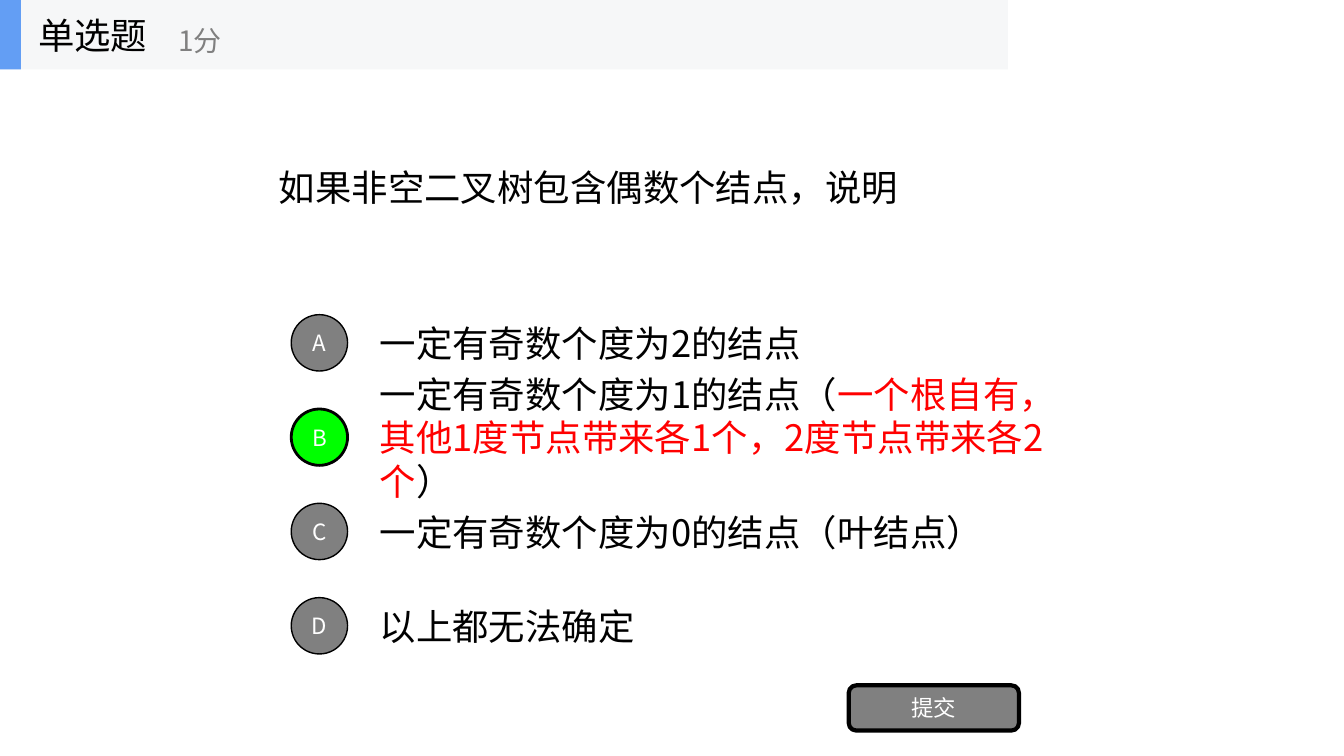
from lxml import etree
from pptx import Presentation
from pptx.dml.color import RGBColor
from pptx.enum import shapes, text
from pptx.oxml import ns
from pptx.util import Cm, Pt

FONT = "Noto Sans CJK SC"
BLACK = RGBColor(0x00, 0x00, 0x00)
WHITE = RGBColor(0xFF, 0xFF, 0xFF)
GRAY = RGBColor(0x80, 0x80, 0x80)
RED = RGBColor(0xFF, 0x00, 0x00)
GREEN = RGBColor(0x00, 0xFF, 0x00)
BLUE = RGBColor(0x63, 0x9E, 0xF4)
PALE = RGBColor(0xF6, 0xF7, 0xF8)

QUESTION = "如果非空二叉树包含偶数个结点，说明"
# Each option is a list of (wording, colour) pieces
OPTIONS = {
    "A": [("一定有奇数个度为2的结点", BLACK)],
    "B": [("一定有奇数个度为1的结点（", BLACK),
          ("一个根自有，其他1度节点带来各1个，2度节点带来各2个", RED),
          ("）", BLACK)],
    "C": [("一定有奇数个度为0的结点（叶结点）", BLACK)],
    "D": [("以上都无法确定", BLACK)],
}
ANSWER = "B"


def write(shape, pieces, size, align=text.PP_ALIGN.LEFT, wrap=True):
    frame = shape.text_frame
    frame.word_wrap = wrap
    frame.vertical_anchor = text.MSO_ANCHOR.MIDDLE
    paragraph = frame.paragraphs[0]
    paragraph.alignment = align
    for wording, color in pieces:
        run = paragraph.add_run()
        run.text = wording
        run.font.size = Pt(size)
        run.font.color.rgb = color
        run.font.name = FONT
        # East Asian typeface
        etree.SubElement(run.font._element, ns.qn("a:ea"), typeface=FONT)


def add_text(parent, left, top, width, height, pieces, size, wrap=True):
    box = parent.add_textbox(left, top, width, height)
    write(box, pieces, size, wrap=wrap)


def add_block(parent, kind, left, top, width, height, fill, line=0):
    shape = parent.add_shape(kind, left, top, width, height)
    shape.shadow.inherit = False
    shape.fill.solid()
    shape.fill.fore_color.rgb = fill
    if line:
        shape.line.color.rgb = BLACK
        shape.line.width = Pt(line)
    else:
        shape.line.fill.background()
    return shape


def add_header(slide, left, top, width, height):
    group = slide.shapes.add_group_shape().shapes
    rectangle = shapes.MSO_SHAPE.RECTANGLE
    add_block(group, rectangle, left, top, width, height, PALE)
    add_block(group, rectangle, left, top, Cm(0.53), height, BLUE)
    add_text(group, left + Cm(0.71), top, Cm(5.28), height,
             [("单选题", BLACK)], 26, wrap=False)
    add_text(group, left + Cm(4.24), top + Cm(0.31), Cm(6.35), Cm(1.42),
             [("1分", GRAY)], 20, wrap=False)


def add_options(slide, left, top, width, height):
    row_height, circle = Cm(1.78), Cm(1.42)
    step = (height - row_height) // (len(OPTIONS) - 1)
    indent = Cm(1.98)
    for index, (letter, pieces) in enumerate(OPTIONS.items()):
        row_top = top + index * step
        correct = letter == ANSWER
        add_text(slide.shapes, left + indent, row_top, width - indent, row_height, pieces, 26)
        badge = add_block(slide.shapes, shapes.MSO_SHAPE.OVAL,
                          left, row_top + (row_height - circle) // 2, circle, circle,
                          GREEN if correct else GRAY, 2 if correct else 1)
        write(badge, [(letter, WHITE)], 16, text.PP_ALIGN.CENTER)


def add_submit(slide, left, top, width, height):
    button = add_block(slide.shapes, shapes.MSO_SHAPE.ROUNDED_RECTANGLE,
                       left, top, width, height, GRAY, 3)
    write(button, [("提交", WHITE)], 16, text.PP_ALIGN.CENTER)


def main():
    presentation = Presentation()
    presentation.slide_width, presentation.slide_height = Cm(33.87), Cm(19.05)
    slide = presentation.slides.add_slide(presentation.slide_layouts[6])

    # Question
    add_text(slide.shapes, Cm(6.78), Cm(1.75), Cm(20.32), Cm(5.94), [(QUESTION, BLACK)], 26)
    # Options and submit button
    add_options(slide, Cm(7.34), Cm(7.75), Cm(19.76), Cm(8.91))
    add_submit(slide, Cm(21.39), Cm(17.27), Cm(4.29), Cm(1.14))
    # Header with question type and score
    add_header(slide, Cm(0), Cm(0), Cm(25.4), Cm(1.75))

    presentation.save("out.pptx")


if __name__ == "__main__":
    main()
